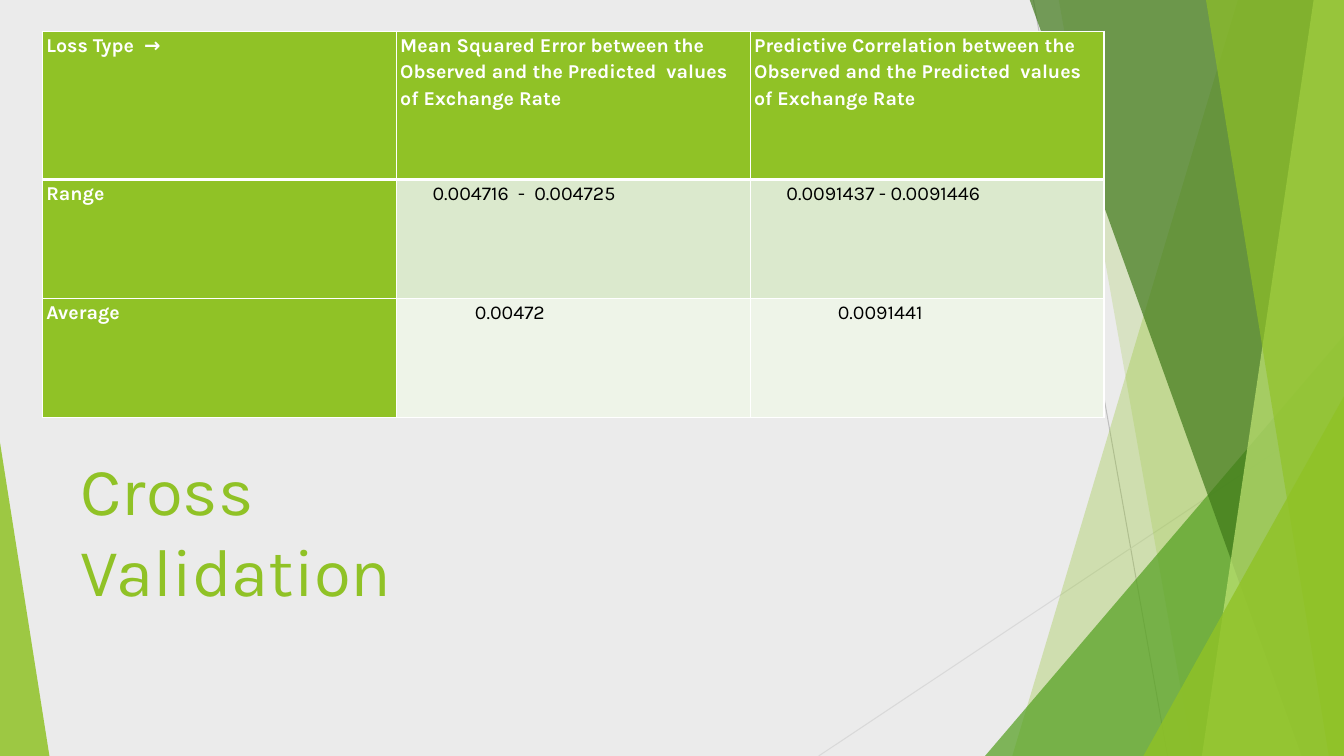
from dataclasses import dataclass

from pptx import Presentation
from pptx.dml.color import RGBColor
from pptx.enum.shapes import MSO_CONNECTOR, MSO_SHAPE
from pptx.enum.text import MSO_ANCHOR, MSO_AUTO_SIZE, PP_ALIGN
from pptx.oxml.ns import qn
from pptx.util import Pt
from lxml import etree

PX = 9144  # 100 px to the inch
WIDTH, HEIGHT = 1333, 750
FONT = "Karla"
STRAIGHT = MSO_CONNECTOR.STRAIGHT
TRIANGLE = MSO_SHAPE.ISOSCELES_TRIANGLE
LEFT = PP_ALIGN.LEFT
COLORS = {
    "background": "EBEBEB", "lime": "90C226", "green": "54A021",
    "forest": "3F7819", "pale_lime": "C0E474", "gray": "BFBFBF",
    "light_gray": "D9D9D9", "white": "FFFFFF", "black": "000000",
    "band_dark": "DBE9CD", "band_light": "EEF4E8",
}


@dataclass
class Ray:
    start: tuple[int, int]
    end: tuple[int, int]
    color: str


@dataclass
class Blade:
    """A band that fills the right edge, slanted on its left side."""
    top_x: int
    bottom_x: int
    color: str
    opacity: int


@dataclass
class Corner:
    """A right triangle standing on the bottom edge; peak is 0 (left) or 1 (right)."""
    left: int
    top: int
    width: int
    peak: int
    color: str
    opacity: int


@dataclass
class Entry:
    text: str
    indent: int = 0


RAYS = [
    Ray((1025, 0), (1158, HEIGHT), "gray"),
    Ray((WIDTH, 403), (812, HEIGHT), "light_gray"),
]
FACETS = [
    Blade(1228, 1004, "lime", 30),
    Blade(1050, 1183, "lime", 20),
    Corner(977, 333, 356, 1, "green", 72),
    Blade(1021, 1291, "forest", 70),
    Blade(1303, 1192, "pale_lime", 70),
    Blade(1196, 1318, "lime", 65),
    Corner(1134, 393, 199, 1, "lime", 80),
    Corner(0, 439, 49, 0, "lime", 85),
]
ROWS = [
    [Entry("Loss Type  →"),
     Entry("Mean Squared Error between the Observed and the Predicted  values of Exchange Rate"),
     Entry("Predictive Correlation between the Observed and the Predicted  values of Exchange Rate")],
    [Entry("Range"), Entry("0.004716  -  0.004725", 32), Entry("0.0091437 - 0.0091446", 32)],
    [Entry("Average"), Entry("0.00472", 74), Entry("0.0091441", 83)],
]
ROW_HEIGHTS = [147, 118, 118]
COLUMN_WIDTH = 351
BODY_FILLS = ["lime", "band_dark", "band_light"]


def rgb(name: str) -> RGBColor:
    return RGBColor.from_string(COLORS[name])


def add_ray(slide, ray: Ray) -> None:
    line = slide.shapes.add_connector(STRAIGHT, *(value * PX for value in ray.start + ray.end))
    line.line.color.rgb = rgb(ray.color)
    line.line.width = Pt(0.75)
    etree.SubElement(line._element.spPr, qn("a:effectLst"))


def add_facet(slide, facet: Blade | Corner) -> None:
    if isinstance(facet, Blade):
        builder = slide.shapes.build_freeform(facet.top_x, -1, scale=PX)
        builder.add_line_segments([(WIDTH, -1), (WIDTH, HEIGHT), (facet.bottom_x, HEIGHT)])
        shape = builder.convert_to_shape()
    else:
        shape = slide.shapes.add_shape(TRIANGLE, facet.left * PX, facet.top * PX,
                                       facet.width * PX, (HEIGHT - facet.top) * PX)
        shape.adjustments[0] = facet.peak
    shape.shadow.inherit = False
    shape.line.fill.background()
    shape.fill.solid()
    shape.fill.fore_color.rgb = rgb(facet.color)
    color = shape._element.spPr.find(".//" + qn("a:srgbClr"))
    etree.SubElement(color, qn("a:alpha"), val=str(facet.opacity * 1000))


def set_borders(cell, top: int, bottom: int) -> None:
    """Draw white cell borders; top and bottom are in points, the sides are 1 pt."""
    properties = cell._tc.get_or_add_tcPr()
    widths = {"a:lnL": 1, "a:lnR": 1, "a:lnT": top, "a:lnB": bottom}
    for position, (tag, width) in enumerate(widths.items()):
        border = etree.Element(qn(tag), w=str(Pt(width)))
        fill = etree.SubElement(border, qn("a:solidFill"))
        etree.SubElement(fill, qn("a:srgbClr"), val=COLORS["white"])
        properties.insert(position, border)


def add_loss_table(slide) -> None:
    columns = len(ROWS[0])
    frame = slide.shapes.add_table(len(ROWS), columns, 42 * PX, 31 * PX,
                                   columns * COLUMN_WIDTH * PX, sum(ROW_HEIGHTS) * PX)
    table = frame.table
    for column in table.columns:
        column.width = COLUMN_WIDTH * PX
    for row_index, entries in enumerate(ROWS):
        table.rows[row_index].height = ROW_HEIGHTS[row_index] * PX
        for column_index, entry in enumerate(entries):
            heading = row_index == 0 or column_index == 0
            cell = table.cell(row_index, column_index)
            cell.margin_left = (4 + entry.indent) * PX
            cell.margin_right = 4 * PX
            cell.margin_top = cell.margin_bottom = 0
            cell.fill.solid()
            cell.fill.fore_color.rgb = rgb("lime" if heading else BODY_FILLS[row_index])
            set_borders(cell, top=3 if row_index == 1 else 1, bottom=3 if row_index == 0 else 1)
            cell.text = entry.text
            paragraph = cell.text_frame.paragraphs[0]
            paragraph.line_spacing = 1.15
            paragraph.space_after = Pt(10)
            paragraph.font.name = FONT
            paragraph.font.size = Pt(14)
            paragraph.font.bold = heading
            paragraph.font.color.rgb = rgb("white" if heading else "black")


def format_title(title) -> None:
    title.left, title.top, title.width, title.height = (v * PX for v in (70, 250, 496, 360))
    frame = title.text_frame
    frame.text = "Cross Validation"
    frame.word_wrap = True
    frame.auto_size = MSO_AUTO_SIZE.NONE
    frame.vertical_anchor = MSO_ANCHOR.BOTTOM
    paragraph = frame.paragraphs[0]
    paragraph.alignment = LEFT
    paragraph.font.name = FONT
    paragraph.font.size = Pt(48)
    paragraph.font.color.rgb = rgb("lime")


def main() -> None:
    presentation = Presentation()
    presentation.slide_width, presentation.slide_height = WIDTH * PX, HEIGHT * PX
    slide = presentation.slides.add_slide(presentation.slide_layouts.get_by_name("Title Only"))
    slide.background.fill.solid()
    slide.background.fill.fore_color.rgb = rgb("background")
    for ray in RAYS:
        add_ray(slide, ray)
    for facet in FACETS:
        add_facet(slide, facet)
    title = slide.shapes.title
    format_title(title)
    title._element.getparent().append(title._element)  # in front of the facets
    add_loss_table(slide)
    presentation.save("out.pptx")


if __name__ == "__main__":
    main()
